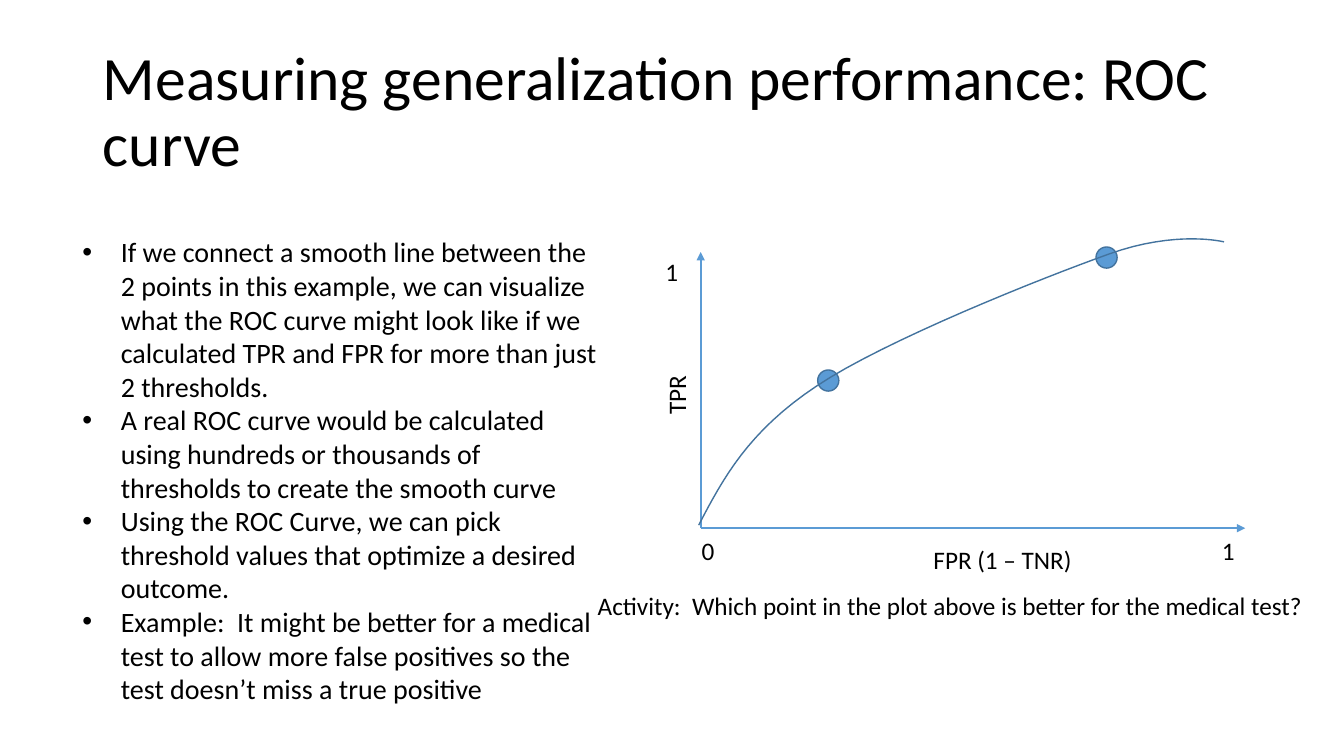
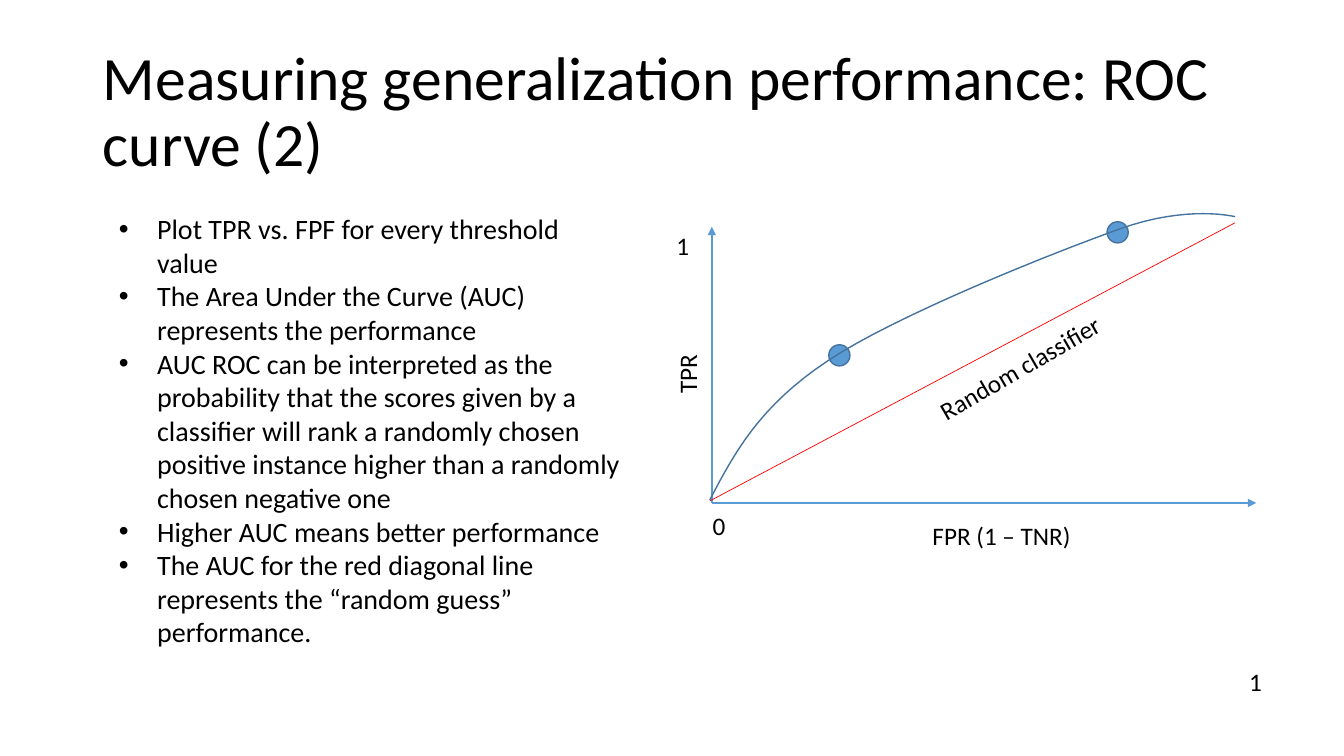
from itertools import pairwise

from lxml.etree import SubElement
from pptx import Presentation
from pptx.dml.color import RGBColor
from pptx.enum.shapes import MSO_CONNECTOR, MSO_SHAPE
from pptx.enum.text import MSO_ANCHOR, MSO_AUTO_SIZE, PP_ALIGN
from pptx.oxml.ns import qn
from pptx.util import Emu, Pt

PX = 9144
FONT = "Calibri"
BLACK = RGBColor(0x00, 0x00, 0x00)
BLUE = RGBColor(0x5B, 0x9B, 0xD5)
NAVY = RGBColor(0x43, 0x73, 0x9E)
RED = RGBColor(0xFF, 0x00, 0x00)

TITLE = "Measuring generalization performance: ROC curve"
CURVE = [(-2, -3), (22, -49), (47, -96), (115, -141), (182, -186),
         (338, -248), (405, -272), (472, -296), (519, -284), (519, -284)]
DOTS = [(116, -157), (392, -279)]
STEPS = 16

POINTS = [
    "If we connect a smooth line between the 2 points in this example, we can "
    "visualize what the ROC curve might look like if we calculated TPR and FPR "
    "for more than just 2 thresholds.",
    "A real ROC curve would be calculated using hundreds or thousands of "
    "thresholds to create the smooth curve",
    "Using the ROC Curve, we can pick threshold values that optimize a desired "
    "outcome.",
    "Example:  It might be better for a medical test to allow more false "
    "positives so the test doesn’t miss a true positive",
]
AREA = [
    "Plot TPR vs. FPF for every threshold value",
    "The Area Under the Curve (AUC) represents the performance",
    "AUC ROC can be interpreted as the probability that the scores given by a "
    "classifier will rank a randomly chosen positive instance higher than a "
    "randomly chosen negative one",
    "Higher AUC means better performance",
    "The AUC for the red diagonal line represents the “random guess” performance.",
]


def px(*nums):
    return [Emu(round(n * PX)) for n in nums]


def style(para, size):
    font = para.font
    font.name = FONT
    font.size = Pt(size)
    font.color.rgb = BLACK


def start(deck, text):
    slide = deck.slides.add_slide(deck.slide_layouts[5])
    title = slide.shapes.title
    title.left, title.top, title.width, title.height = px(92, 40, 1150, 145)
    frame = title.text_frame
    frame.text = text
    frame.auto_size = MSO_AUTO_SIZE.NONE
    frame.vertical_anchor = MSO_ANCHOR.MIDDLE
    para = frame.paragraphs[0]
    para.alignment = PP_ALIGN.LEFT
    para.line_spacing = 0.9
    style(para, 44)
    return slide


def label(slide, text, left, top, width, wrap=False, turn=0):
    box = slide.shapes.add_textbox(*px(left, top, width, 40))
    box.rotation = turn
    frame = box.text_frame
    frame.word_wrap = wrap
    frame.auto_size = MSO_AUTO_SIZE.SHAPE_TO_FIT_TEXT
    frame.text = text
    style(frame.paragraphs[0], 18)


def bullets(slide, items, *area):
    frame = slide.shapes.add_textbox(*px(*area)).text_frame
    frame.word_wrap = True
    frame.auto_size = MSO_AUTO_SIZE.SHAPE_TO_FIT_TEXT
    frame.text = "\n".join(items)
    indent = px(38)[0]
    for para in frame.paragraphs:
        props = para._p.get_or_add_pPr()
        props.set("marL", str(indent))
        props.set("indent", str(-indent))
        SubElement(props, qn("a:buFont")).set("typeface", "Arial")
        SubElement(props, qn("a:buChar")).set("char", "•")
        style(para, 20)


def line(slide, first, last, color, width, arrow=False):
    link = slide.shapes.add_connector(MSO_CONNECTOR.STRAIGHT, *px(*first, *last))
    link.line.color.rgb = color
    link.line.width = Pt(width)
    if arrow:
        SubElement(link.line._get_or_add_ln(), qn("a:tailEnd")).set("type", "triangle")
    SubElement(link._element.spPr, qn("a:effectLst"))


def outline(shape):
    shape.shadow.inherit = False
    shape.line.color.rgb = NAVY
    shape.line.width = Pt(1)


def dot(slide, left, top):
    shape = slide.shapes.add_shape(MSO_SHAPE.OVAL, *px(left, top, 21, 21))
    shape.fill.solid()
    shape.fill.fore_color.rgb = BLUE
    outline(shape)


def bezier(knots, t):
    weights = ((1 - t) ** 3, 3 * t * (1 - t) ** 2, 3 * t * t * (1 - t), t ** 3)
    return [sum(w * k for w, k in zip(weights, axis)) for axis in zip(*knots)]


def curve(slide, knots):
    spots = [px(*knots[0])]
    for first, last in pairwise(range(0, len(knots), 3)):
        part = knots[first:last + 1]
        spots += [px(*bezier(part, n / STEPS)) for n in range(1, STEPS + 1)]
    build = slide.shapes.build_freeform(*spots[0])
    build.add_line_segments(spots[1:], close=False)
    shape = build.convert_to_shape()
    shape.fill.background()
    outline(shape)


def plot(slide, left, base, tpr, fpr):
    def place(x, y):
        return left + x, base + y

    line(slide, place(0, 0), place(540, 0), BLUE, 1.5, True)
    line(slide, place(0, 0), place(0, -274), BLUE, 1.5, True)
    label(slide, "FPR (1 – TNR)", *fpr, 159)
    label(slide, "TPR", *tpr, 59, turn=270)
    label(slide, "0", *place(-9, 2), 33)
    label(slide, "1", *place(-45, -275), 33)
    for spot in DOTS:
        dot(slide, *place(*spot))
    curve(slide, [place(*knot) for knot in CURVE])


def main():
    deck = Presentation()
    deck.slide_width, deck.slide_height = px(1333, 750)

    slide = start(deck, TITLE)
    bullets(slide, POINTS, 72, 228, 530, 481)
    plot(slide, 695, 524, (641, 372), (916, 535))
    label(slide, "1", 1202, 526, 65, wrap=True)
    label(slide, "Activity:  Which point in the plot above is better for the medical test?",
          583, 581, 741, wrap=True)

    slide = start(deck, TITLE + " (2)")
    bullets(slide, AREA, 108, 205, 521, 448)
    plot(slide, 706, 499, (652, 351), (915, 511))
    label(slide, "1", 1229, 656, 65, wrap=True)
    line(slide, (704, 497), (1225, 221), RED, 0.5)
    label(slide, "Random classifier", 912, 344, 201, turn=330)

    deck.save("out.pptx")


if __name__ == "__main__":
    main()
